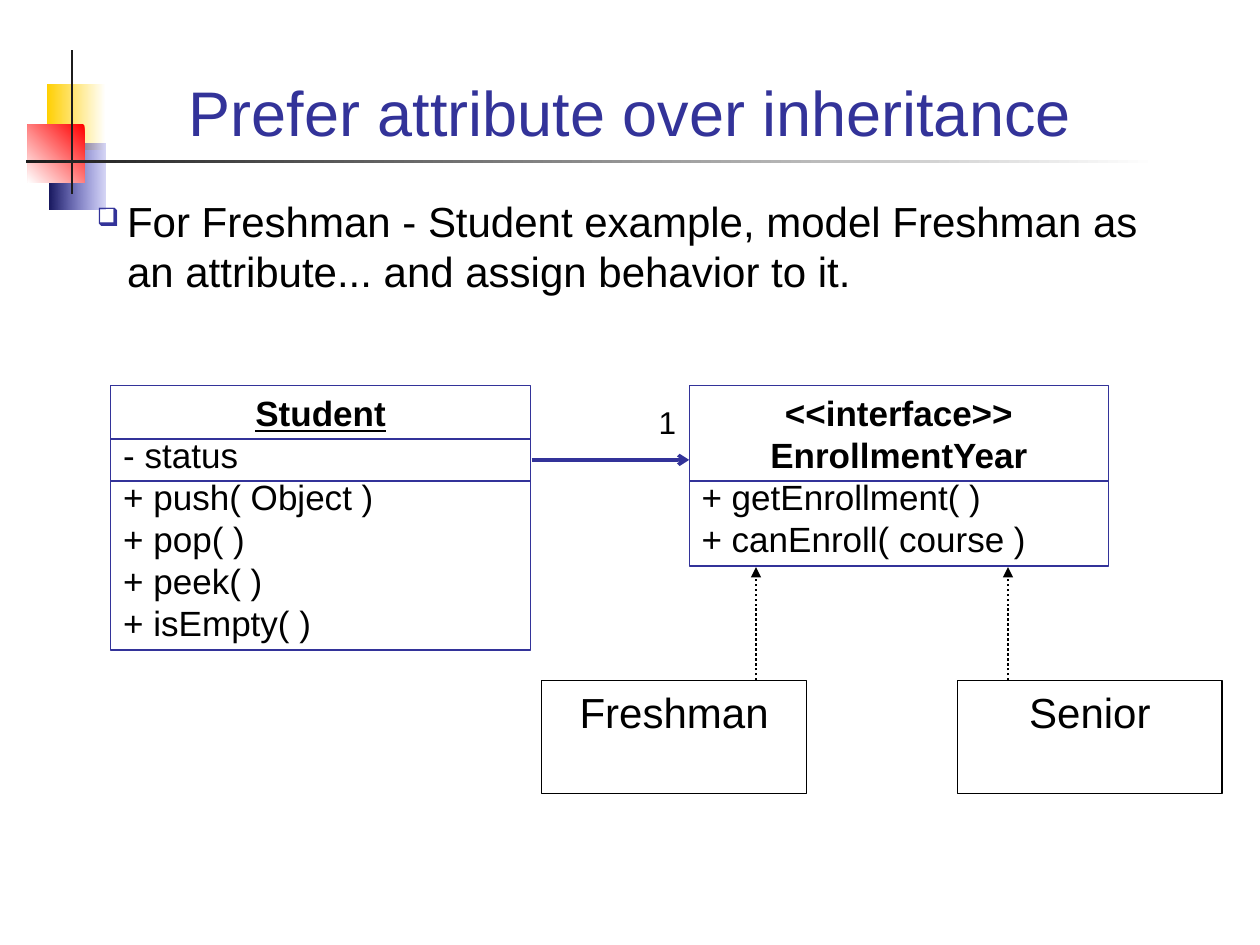
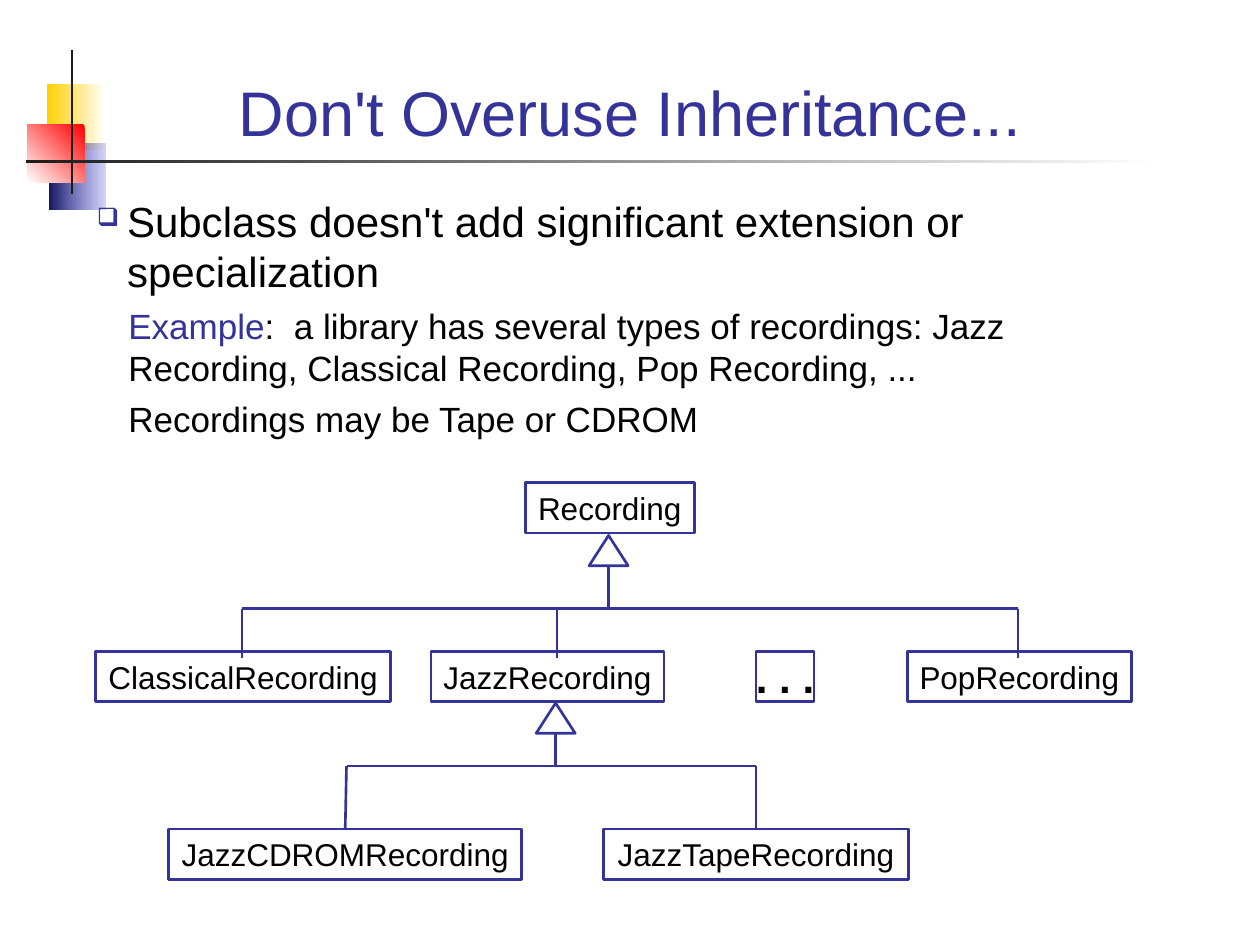
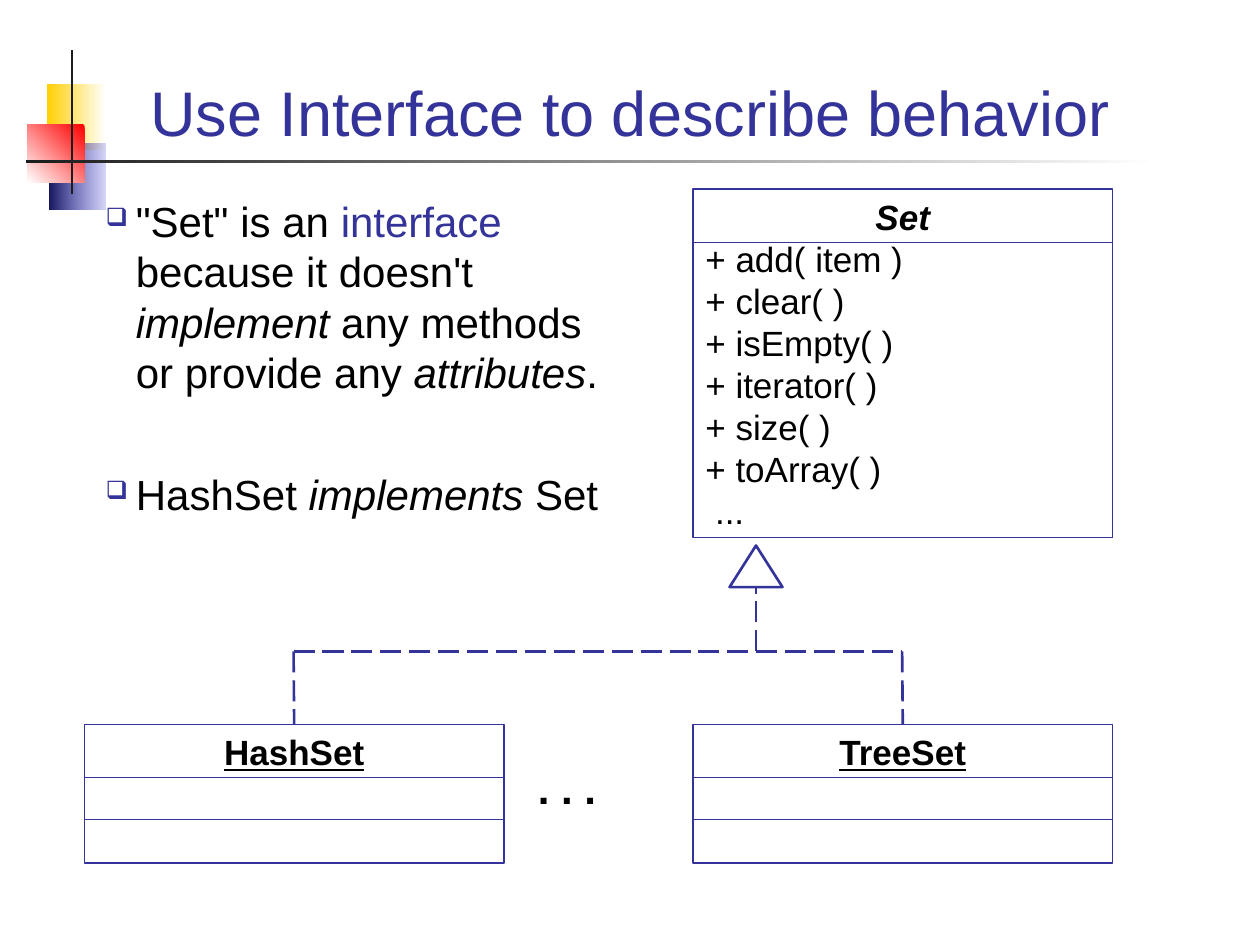
from dataclasses import dataclass

from lxml import etree
from pptx import Presentation
from pptx.dml.color import RGBColor
from pptx.enum.dml import MSO_LINE
from pptx.enum.shapes import MSO_CONNECTOR, MSO_SHAPE
from pptx.enum.text import MSO_ANCHOR, MSO_AUTO_SIZE, PP_ALIGN
from pptx.oxml.ns import qn
from pptx.util import Inches, Pt

LEFT, CENTER = PP_ALIGN.LEFT, PP_ALIGN.CENTER
TOP, BOTTOM = MSO_ANCHOR.TOP, MSO_ANCHOR.BOTTOM
DOTTED, DASHED = MSO_LINE.ROUND_DOT, MSO_LINE.LONG_DASH
RECTANGLE, TRIANGLE = MSO_SHAPE.RECTANGLE, MSO_SHAPE.ISOSCELES_TRIANGLE
TITLE_ONLY = 5
TOP_SIDE = 0


@dataclass(frozen=True)
class Theme:
    font: str = "Arial"
    ink: str = "000000"
    accent: str = "333399"
    paper: str = "FFFFFF"
    bar: str = "1C1C1C"
    title: int = 36
    body: int = 24
    detail: int = 20
    label: int = 18
    line_height: float = 1.2
    thin: float = 0.75
    medium: float = 1.5
    thick: float = 2


THEME = Theme()

# Content: corner blocks as box, gradient colours, counterclockwise angle, opacity
CORNER_BLOCKS = [
    ((0.37, 0.67, 0.47, 0.52), (THEME.paper, "FFCF01"), 180, 100),
    ((0.39, 1.14, 0.45, 0.52), ("3333CC", "17175E"), 180, 20),
    ((0.22, 0.99, 0.45, 0.46), ("FF0000", THEME.paper), 225, 100),
    ((0.56, 0.4, 0.02, 1.14), (THEME.bar, THEME.bar), 180, 100),
    ((0.21, 1.27, 8.98, 0.02), (THEME.paper, THEME.bar), 180, 100),
]
TITLE_BOX = (0.67, 0.28, 8.66, 0.95)

BULLET = {"bullet": "❑", "indent": 0.24, "before": 6}
DETAIL = {"size": THEME.detail, "indent": 0.25, "before": 5}
ACCENT = {"color": THEME.accent}
ITALIC = {"italic": True}

ATTRIBUTE_BODY = [
    {"runs": "For Freshman - Student example, model Freshman as an attribute... "
             "and assign behavior to it.", **BULLET},
]
OVERUSE_BODY = [
    {"runs": "Subclass doesn't add significant extension or specialization", **BULLET},
    {"runs": [("Example", ACCENT),
              (":  a library has several types of recordings: Jazz Recording, "
               "Classical Recording, Pop Recording, ...", {})], **DETAIL},
    {"runs": "Recordings may be Tape or CDROM", **DETAIL},
]
INTERFACE_BODY = [
    {"runs": [('"Set" is an ', {}), ("interface", ACCENT), (" because it doesn't ", {}),
              ("implement", ITALIC), (" any methods or provide any ", {}),
              ("attributes", ITALIC), (".", {})], **BULLET},
    {"runs": [("HashSet ", {}), ("implements ", ITALIC), ("Set", {})],
     **{**BULLET, "before": 41}},
]

# UML classes: one list of rows per compartment, the heading first
STUDENT = [["Student"], ["- status"],
           ["+ push( Object )", "+ pop( )", "+ peek( )", "+ isEmpty( )"]]
ENROLLMENT = [["<<interface>>", "EnrollmentYear"],
              ["+ getEnrollment( )", "+ canEnroll( course )"]]
SET = [["Set"], ["+ add( item )", "+ clear( )", "+ isEmpty( )", "+ iterator( )",
                 "+ size( )", "+ toArray( )", " ..."]]
HASH_SET = [["HashSet"], [""], [""]]
TREE_SET = [["TreeSet"], [""], [""]]
CLASS_WIDTH, CLASS_ROW = 3.33, 1 / 3

YEARS = [("Freshman", 4.3, 6), ("Senior", 7.6, 8)]  # name, left, arrow x
RECORDINGS = [  # name, left, top, width
    ("Recording", 4.17, 3.83, 1.34),
    ("ClassicalRecording", 0.76, 5.17, 2.34),
    ("JazzRecording", 3.42, 5.17, 1.85),
    ("PopRecording", 7.2, 5.17, 1.78),
    ("JazzCDROMRecording", 1.34, 6.58, 2.8),
    ("JazzTapeRecording", 4.79, 6.58, 2.42),
]
ELLIPSIS = ". . ."

TEXT_DEFAULTS = {
    "size": THEME.body, "color": THEME.ink, "bold": False, "italic": False,
    "underline": False, "align": LEFT, "before": 0, "indent": 0, "bullet": None,
}


# Text
def add_bullet(paragraph, character):
    properties = paragraph._p.get_or_add_pPr()
    properties.set("indent", str(-properties_indent(properties)))
    color = etree.SubElement(properties, qn("a:buClr"))
    etree.SubElement(color, qn("a:srgbClr"), val=THEME.accent)
    etree.SubElement(properties, qn("a:buSzPct"), val="60000")
    etree.SubElement(properties, qn("a:buChar"), char=character)


def properties_indent(properties):
    return int(properties.get("marL"))


def write(shape, lines, wrap=True, anchor=TOP, **options):
    """Fill a shape with lines: strings, or dicts of runs and their format."""
    frame = shape.text_frame
    frame.word_wrap = wrap
    frame.auto_size = MSO_AUTO_SIZE.NONE
    frame.vertical_anchor = anchor
    for index, line in enumerate(lines):
        line = {"runs": line} if isinstance(line, str) else line
        style = {**TEXT_DEFAULTS, **options, **line}
        paragraph = frame.paragraphs[0] if index == 0 else frame.add_paragraph()
        paragraph._p.get_or_add_pPr().set("marL", str(Inches(style["indent"])))
        if style["bullet"]:
            add_bullet(paragraph, style["bullet"])
        paragraph.alignment = style["align"]
        paragraph.line_spacing = Pt(style["size"] * THEME.line_height)
        paragraph.space_before = Pt(style["before"] if index else 0)
        runs = style["runs"]
        for text, changes in [(runs, {})] if isinstance(runs, str) else runs:
            look = {**style, **changes}
            run = paragraph.add_run()
            run.text = text
            run.font.name = THEME.font
            run.font.size = Pt(look["size"])
            run.font.bold = look["bold"]
            run.font.italic = look["italic"]
            run.font.underline = look["underline"]
            run.font.color.rgb = RGBColor.from_string(look["color"])


def add_text(slide, box, lines, **options):
    write(slide.shapes.add_textbox(*map(Inches, box)), lines, **options)


# Shapes and lines
def add_outline(slide, box, kind=RECTANGLE, color=THEME.accent, weight=THEME.medium,
                fill=None):
    shape = slide.shapes.add_shape(kind, *map(Inches, box))
    shape.shadow.inherit = False
    if fill:
        shape.fill.solid()
        shape.fill.fore_color.rgb = RGBColor.from_string(fill)
    else:
        shape.fill.background()
    shape.line.color.rgb = RGBColor.from_string(color)
    shape.line.width = Pt(weight)
    return shape


def add_line(slide, start, end, color=THEME.accent, weight=THEME.medium, dash=None,
             head=None, target=None):
    line = slide.shapes.add_connector(MSO_CONNECTOR.STRAIGHT, *map(Inches, start + end))
    if target is not None:
        line.end_connect(target, TOP_SIDE)
    line.line.color.rgb = RGBColor.from_string(color)
    line.line.width = Pt(weight)
    if dash:
        line.line.dash_style = dash
    properties = line.element.spPr
    if head:
        etree.SubElement(properties.find(qn("a:ln")), qn("a:tailEnd"), type=head)
    etree.SubElement(properties, qn("a:effectLst"))


def add_class(slide, left, top, compartments, **heading):
    rows = sum(len(compartment) for compartment in compartments)
    box = add_outline(slide, (left, top, CLASS_WIDTH, 0.1 + rows * CLASS_ROW),
                      weight=THEME.thin)
    lines = [{"runs": name, "bold": True, "align": CENTER, **heading}
             for name in compartments[0]]
    lines += [row for compartment in compartments[1:] for row in compartment if row]
    write(box, lines, size=THEME.detail)
    divider = top + 0.09
    for compartment in compartments[:-1]:
        divider += len(compartment) * CLASS_ROW
        add_line(slide, (left, divider), (left + CLASS_WIDTH, divider), weight=THEME.thin)
    return box


def add_inheritance(slide, tip, size, bar_y, drops, dash=None):
    """Triangle at the parent, a stem, a bar, and one drop (x, y, box) per child."""
    x, y = tip
    width, height = size
    add_outline(slide, (x - width / 2, y, width, height), kind=TRIANGLE, fill=THEME.paper)
    add_line(slide, (x, bar_y), (x, y + height), dash=dash)
    add_line(slide, (drops[0][0], bar_y), (drops[-1][0], bar_y), dash=dash)
    for drop_x, drop_y, child in drops:
        add_line(slide, (drop_x, bar_y), (drop_x, drop_y), dash=dash, target=child)


# Shared frame
def decorate_layout(layout, slide):
    """Draw the corner blocks and hand them to the layout."""
    for box, colors, angle, opacity in CORNER_BLOCKS:
        block = add_outline(slide, box)
        block.line.fill.background()
        block.fill.gradient()
        block.fill.gradient_angle = angle
        for stop, color in zip(block.fill.gradient_stops, colors):
            stop.color.rgb = RGBColor.from_string(color)
        if opacity < 100:
            first_color = next(block.element.iter(qn("a:srgbClr")))
            etree.SubElement(first_color, qn("a:alpha"), val=str(opacity * 1000))
        layout.shapes.element.append(block.element)


def add_slide(presentation, title):
    slide = presentation.slides.add_slide(presentation.slide_layouts[TITLE_ONLY])
    placeholder = slide.shapes.title
    placeholder.left, placeholder.top, placeholder.width, placeholder.height = map(
        Inches, TITLE_BOX)
    write(placeholder, [title], anchor=BOTTOM, align=CENTER, size=THEME.title,
          color=THEME.accent)
    return slide


# Slides
def build_attribute_slide(presentation):
    slide = add_slide(presentation, "Prefer attribute over inheritance")
    decorate_layout(presentation.slide_layouts[TITLE_ONLY], slide)
    add_text(slide, (0.67, 1.5, 8.66, 1.3), ATTRIBUTE_BODY)
    add_class(slide, 0.88, 3.06, STUDENT, underline=True)
    add_class(slide, 5.47, 3.06, ENROLLMENT)
    add_line(slide, (4.22, 3.65), (5.47, 3.65), weight=THEME.thick, head="arrow")
    add_text(slide, (5.13, 3.15, 0.33, 0.4), ["1"], size=THEME.label)
    for name, left, arrow_x in YEARS:
        box = add_outline(slide, (left, 5.4, 2.1, 0.9), color=THEME.ink, weight=THEME.thin)
        write(box, [name], align=CENTER)
        add_line(slide, (arrow_x, 5.4), (arrow_x, 4.5), color=THEME.ink,
                 weight=1.42, dash=DOTTED, head="triangle")


def build_overuse_slide(presentation):
    slide = add_slide(presentation, "Don't Overuse Inheritance...")
    add_text(slide, (0.67, 1.5, 8.66, 2.2), OVERUSE_BODY)
    boxes = {}
    for name, left, top, width in RECORDINGS:
        boxes[name] = add_outline(slide, (left, top, width, 0.4))
        write(boxes[name], [name], wrap=False, align=CENTER, size=THEME.label)
    more = add_outline(slide, (6, 5.17, 0.46, 0.4))
    frame = more.text_frame
    frame.margin_left = frame.margin_right = frame.margin_top = frame.margin_bottom = 0
    write(more, [ELLIPSIS], wrap=False, bold=True)
    triangle = (0.31, 0.24)
    add_inheritance(slide, (4.83, 4.25), triangle, 4.83,
                    [(x, 5.22, None) for x in (1.92, 4.42, 8.08)])
    add_inheritance(slide, (4.41, 5.58), triangle, 6.08,
                    [(2.75, 6.58, boxes["JazzCDROMRecording"]),
                     (6, 6.58, boxes["JazzTapeRecording"])])


def build_interface_slide(presentation):
    slide = add_slide(presentation, "Use Interface to describe behavior")
    add_text(slide, (0.74, 1.5, 4.26, 2.92), INTERFACE_BODY)
    add_class(slide, 5.5, 1.5, SET, italic=True)
    hash_set = add_class(slide, 0.67, 5.75, HASH_SET, underline=True)
    tree_set = add_class(slide, 5.5, 5.75, TREE_SET, underline=True)
    add_text(slide, (4.17, 6, 1.25, 0.5), [ELLIPSIS], bold=True)
    add_inheritance(slide, (6, 4.33), (0.42, 0.33), 5.17,
                    [(2.33, 5.75, hash_set), (7.16, 5.75, tree_set)], dash=DASHED)


def main():
    presentation = Presentation()
    presentation.slide_width, presentation.slide_height = Inches(10), Inches(7.5)
    build_attribute_slide(presentation)
    build_overuse_slide(presentation)
    build_interface_slide(presentation)
    presentation.save("out.pptx")


if __name__ == "__main__":
    main()
